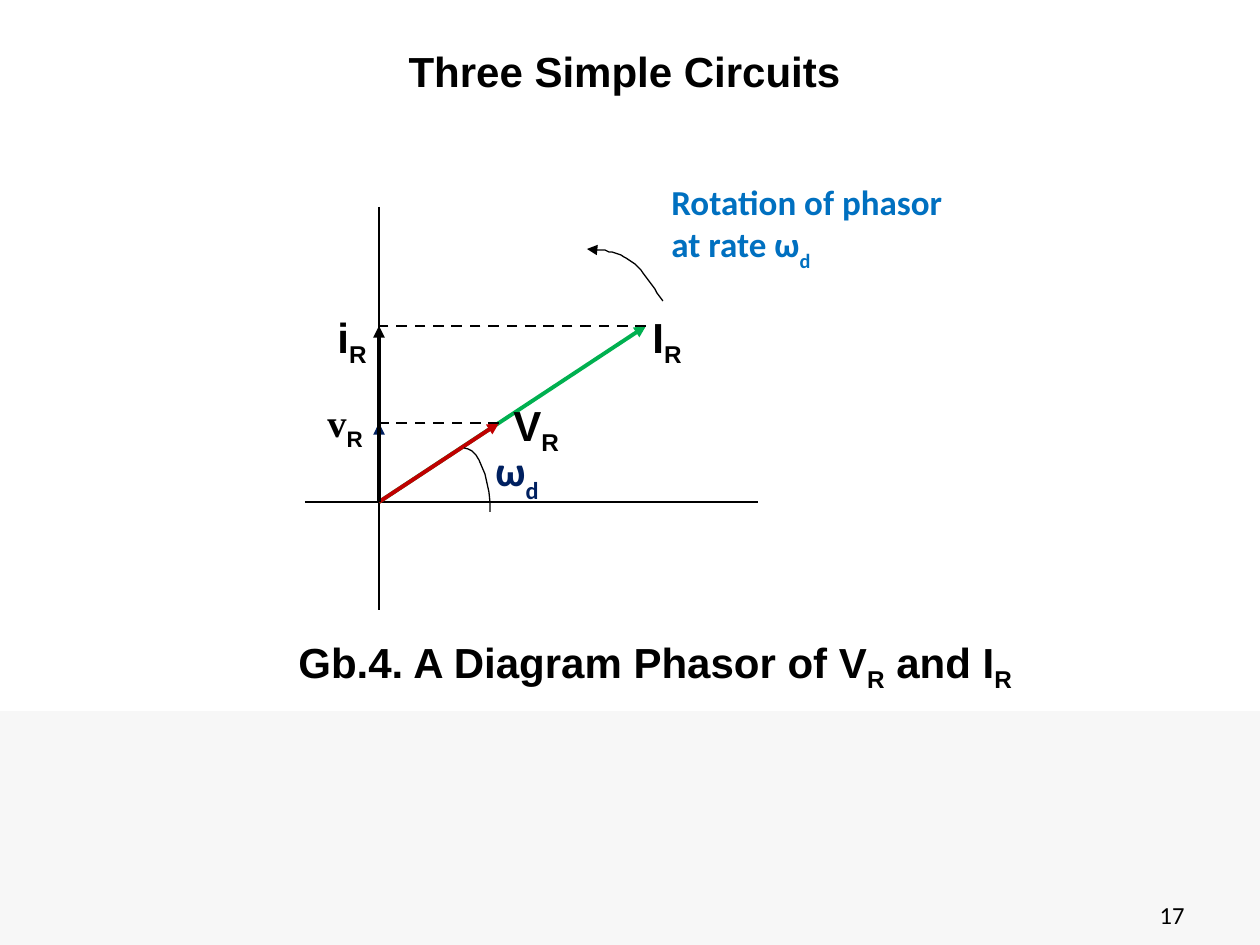
from lxml.etree import SubElement
from pptx import Presentation
from pptx.dml.color import RGBColor
from pptx.enum.dml import MSO_LINE
from pptx.enum.shapes import MSO_CONNECTOR, MSO_SHAPE
from pptx.enum.text import MSO_ANCHOR, PP_ALIGN
from pptx.oxml.ns import qn
from pptx.util import Emu, Pt

SCALE = 914400 / 126
BLACK, NAVY, BLUE, GREEN, RED = "000000", "002060", "0070C0", "00B050", "C00000"

TITLE = ((396, 39, 490, 89), ["Three Simple Circuits"], {})
BAND = (0, 711, 1260, 234)

ORIGIN = (379, 502)
CURRENT_TIP = (646, 326)
VOLTAGE_TIP = (499, 423)
CURRENT_FOOT = (ORIGIN[0], CURRENT_TIP[1])
VOLTAGE_FOOT = (ORIGIN[0], VOLTAGE_TIP[1])

LINES = [
    ((379, 207), (379, 610), BLACK, 1.5, ""),
    ((305, 502), (758, 502), BLACK, 1.5, ""),
    (ORIGIN, CURRENT_TIP, GREEN, 2.25, "arrow"),
    (ORIGIN, VOLTAGE_TIP, RED, 2.25, "arrow"),
    (CURRENT_TIP, CURRENT_FOOT, BLACK, 1.5, "dash"),
    (VOLTAGE_TIP, VOLTAGE_FOOT, BLACK, 1.5, "dash"),
    (ORIGIN, VOLTAGE_FOOT, NAVY, 2.25, "arrow"),
    (ORIGIN, CURRENT_FOOT, BLACK, 2.25, "arrow"),
]

CURVES = [
    ([(464, 448), (478, 448), (490, 477), (490, 512)], ""),
    ([(663, 301), (654, 287), (644, 273), (635, 264), (626, 256), (615, 253),
      (607, 251), (599, 248), (590, 252), (587, 249)], "arrow"),
]

# A "_" marks the start and end of subscript text.
TEXTS = [
    ((286, 630, 798, 115), ["Gb.4. A Diagram Phasor of V_R_ and I_R"], {}),
    ((501, 393, 74, 64), ["V_R"], {"wrap": False}),
    ((315, 393, 64, 59), ["v_R"],
     {"size": 22, "font": "Times New Roman", "sub_font": "Arial", "wrap": False}),
    ((640, 305, 58, 64), ["I_R"], {"wrap": False}),
    ((325, 305, 58, 64), ["i_R"], {"wrap": False}),
    ((483, 443, 78, 63), ["ω_d"],
     {"font": "Calibri", "color": NAVY, "base": -30, "anchor": MSO_ANCHOR.MIDDLE}),
    ((659, 178, 305, 97), ["Rotation of phasor", "at rate ω_d"],
     {"size": 20, "font": "Calibri", "color": BLUE, "base": -30,
      "anchor": MSO_ANCHOR.MIDDLE}),
    ((903, 890, 294, 50), ["17"],
     {"size": 14, "font": "Calibri", "bold": False, "align": PP_ALIGN.RIGHT,
      "anchor": MSO_ANCHOR.MIDDLE}),
]
DEFAULTS = {"size": 24, "font": "Arial", "color": BLACK, "bold": True, "base": -25,
            "wrap": True, "anchor": MSO_ANCHOR.TOP, "align": PP_ALIGN.LEFT}


def px(value):
    return Emu(round(value * SCALE))


def rgb(color):
    return RGBColor.from_string(color)


def set_values(target, values):
    for name, value in values.items():
        setattr(target, name, value)


def style_line(shape, color, width, kind):
    shape.line.color.rgb = rgb(color)
    shape.line.width = Pt(width)
    if kind == "dash":
        shape.line.dash_style = MSO_LINE.DASH
    if kind == "arrow":
        SubElement(shape.line._get_or_add_ln(), qn("a:tailEnd"), type="triangle")


def add_line(slide, start, end, color, width, kind):
    line = slide.shapes.add_connector(
        MSO_CONNECTOR.STRAIGHT, *map(px, start + end))
    style_line(line, color, width, kind)
    SubElement(line._element.spPr, qn("a:effectLst"))


def bezier(points, t):
    weights = ((1 - t) ** 3, 3 * t * (1 - t) ** 2, 3 * t * t * (1 - t), t ** 3)
    return tuple(sum(w * p[axis] for w, p in zip(weights, points)) for axis in (0, 1))


def add_curve(slide, points, kind, steps=10):
    samples = [bezier(points[i:i + 4], step / steps)
               for i in range(0, len(points) - 1, 3)
               for step in range(1, steps + 1)]
    builder = slide.shapes.build_freeform(*points[0], scale=SCALE)
    builder.add_line_segments(samples, close=False)
    curve = builder.convert_to_shape()
    curve.shadow.inherit = False
    curve.fill.background()
    style_line(curve, BLACK, 0.75, kind)


def write_text(shape, box, lines, options):
    style = {**DEFAULTS, **options}
    set_values(shape, dict(zip(("left", "top", "width", "height"), map(px, box))))
    frame = shape.text_frame
    set_values(frame, {"word_wrap": style["wrap"], "vertical_anchor": style["anchor"]})
    for number, line in enumerate(lines):
        paragraph = frame.add_paragraph() if number else frame.paragraphs[0]
        paragraph.alignment = style["align"]
        for index, part in enumerate(line.split("_")):
            subscript = index % 2 == 1
            run = paragraph.add_run()
            run.text = part
            font = style.get("sub_font", style["font"]) if subscript else style["font"]
            set_values(run.font, {"size": Pt(style["size"]), "name": font,
                                  "bold": style["bold"]})
            run.font.color.rgb = rgb(style["color"])
            if subscript:
                run._r.get_or_add_rPr().set("baseline", str(style["base"] * 1000))


def main():
    presentation = Presentation()
    set_values(presentation, {"slide_width": px(1260), "slide_height": px(945)})
    slide = presentation.slides.add_slide(presentation.slide_layouts[5])

    band = slide.shapes.add_shape(MSO_SHAPE.RECTANGLE, *map(px, BAND))
    band.shadow.inherit = False
    band.fill.solid()
    band.fill.fore_color.rgb = rgb("F7F7F7")
    band.line.fill.background()

    for line in LINES:
        add_line(slide, *line)
    for curve in CURVES:
        add_curve(slide, *curve)
    for box, lines, options in TEXTS:
        write_text(slide.shapes.add_textbox(*map(px, box)), box, lines, options)
    write_text(slide.shapes.title, *TITLE)

    presentation.save("out.pptx")


if __name__ == "__main__":
    main()
